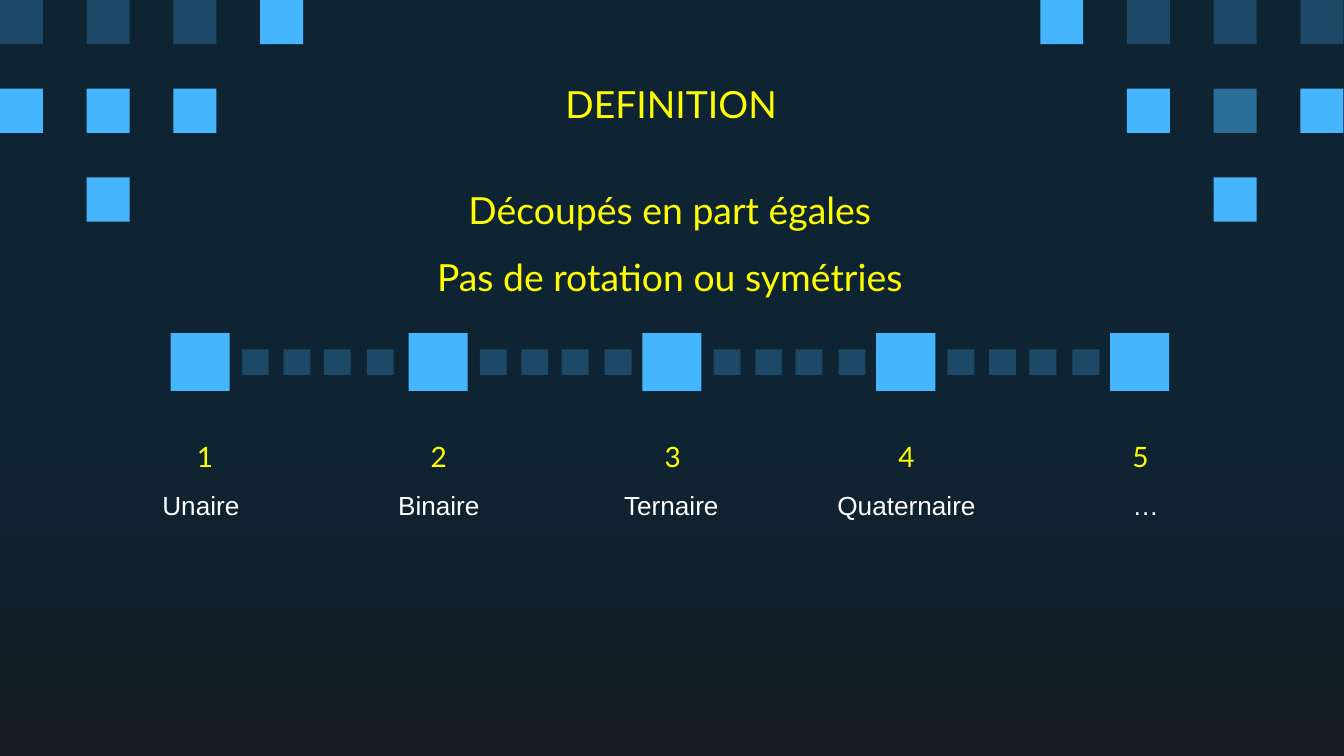
from pptx import Presentation
from pptx import util as u
from pptx.dml.color import RGBColor
from pptx.enum import shapes, text

COLORS = {
    "night": "0E2433",
    "coal": "141C21",
    "bright": "45B6FE",
    "medium": "296D98",
    "dark": "1C4966",
    "yellow": "FFFF00",
    "white": "FFFFFF",
}
TILE_COLORS = {"B": "bright", "M": "medium", "D": "dark"}
LEFT_CORNER = ("DDDB", "BBB ", " B  ")
RIGHT_CORNER = ("BDDD", " BMB", "  B ")
HEADINGS = (
    ("DEFINITION", 0.78, 0.59),
    ("Découpés en part égales", 0.77, 1.38),
    ("Pas de rotation ou symétries", 0.77, 1.88),
)
STEPS = (
    ("Unaire", 1.27, 0.72),
    ("Binaire", 3.04, 2.49),
    ("Ternaire", 4.78, 4.22),
    ("Quaternaire", 6.52, 5.97),
    ("…", 8.26, 7.75),
)
DOT_OFFSETS = (0.53, 0.84, 1.14, 1.46)


def rgb(name):
    return RGBColor.from_string(COLORS[name])


def paint_background(slide):
    fill = slide.background.fill
    fill.gradient()
    fill.gradient_angle = 270
    stops = zip(fill.gradient_stops, (0.56, 1), ("night", "coal"))
    for stop, position, color in stops:
        stop.position = position
        stop.color.rgb = rgb(color)


def add_tile(slide, left, top, width, height, color):
    tile = slide.shapes.add_shape(
        shapes.MSO_SHAPE.RECTANGLE,
        u.Inches(left), u.Inches(top), u.Inches(width), u.Inches(height))
    tile.shadow.inherit = False
    tile.fill.solid()
    tile.fill.fore_color.rgb = rgb(color)
    tile.line.fill.background()


def add_corner(slide, left, pattern):
    for row, tiles in enumerate(pattern):
        for column, key in enumerate(tiles):
            if key in TILE_COLORS:
                add_tile(slide, left + 1.29 * column / 2, 0.66 * row,
                         0.32, 0.33, TILE_COLORS[key])


def add_label(slide, wording, left, top, width, height, size,
              font="Lato", color="yellow", anchor=text.MSO_ANCHOR.MIDDLE):
    label = slide.shapes.add_textbox(
        u.Inches(left), u.Inches(top), u.Inches(width), u.Inches(height))
    frame = label.text_frame
    frame.word_wrap = True
    frame.vertical_anchor = anchor
    frame.margin_left = frame.margin_right = u.Inches(0.1)
    frame.margin_top = frame.margin_bottom = u.Inches(0.1)
    paragraph = frame.paragraphs[0]
    paragraph.text = wording
    paragraph.alignment = text.PP_ALIGN.CENTER
    paragraph.font.size = u.Pt(size)
    paragraph.font.name = font
    paragraph.font.color.rgb = rgb(color)
    return paragraph


def add_step(slide, index, caption, marker_left, caption_left):
    number = add_label(slide, str(index + 1), 0.78 + 1.74 * index, 3.21,
                       1.49, 0.33, 15)
    number.line_spacing = 1.15
    description = add_label(slide, caption, caption_left, 3.54, 1.55, 0.66, 14,
                            "Arial", "white", text.MSO_ANCHOR.TOP)
    description.space_after = u.Pt(16)
    add_tile(slide, marker_left, 2.48, 0.44, 0.43, "bright")
    if index < len(STEPS) - 1:
        for offset in DOT_OFFSETS:
            add_tile(slide, marker_left + offset, 2.6, 0.2, 0.19, "dark")


def main():
    deck = Presentation()
    deck.slide_width = u.Inches(10)
    deck.slide_height = u.Inches(10 * 9 / 16)
    slide = deck.slides.add_slide(deck.slide_layouts[6])
    paint_background(slide)
    add_corner(slide, 0, LEFT_CORNER)
    add_corner(slide, 7.74, RIGHT_CORNER)
    for wording, left, top in HEADINGS:
        add_label(slide, wording, left, top, 8.43, 0.36, 20)
    for index, step in enumerate(STEPS):
        add_step(slide, index, *step)
    deck.save("out.pptx")


if __name__ == "__main__":
    main()
